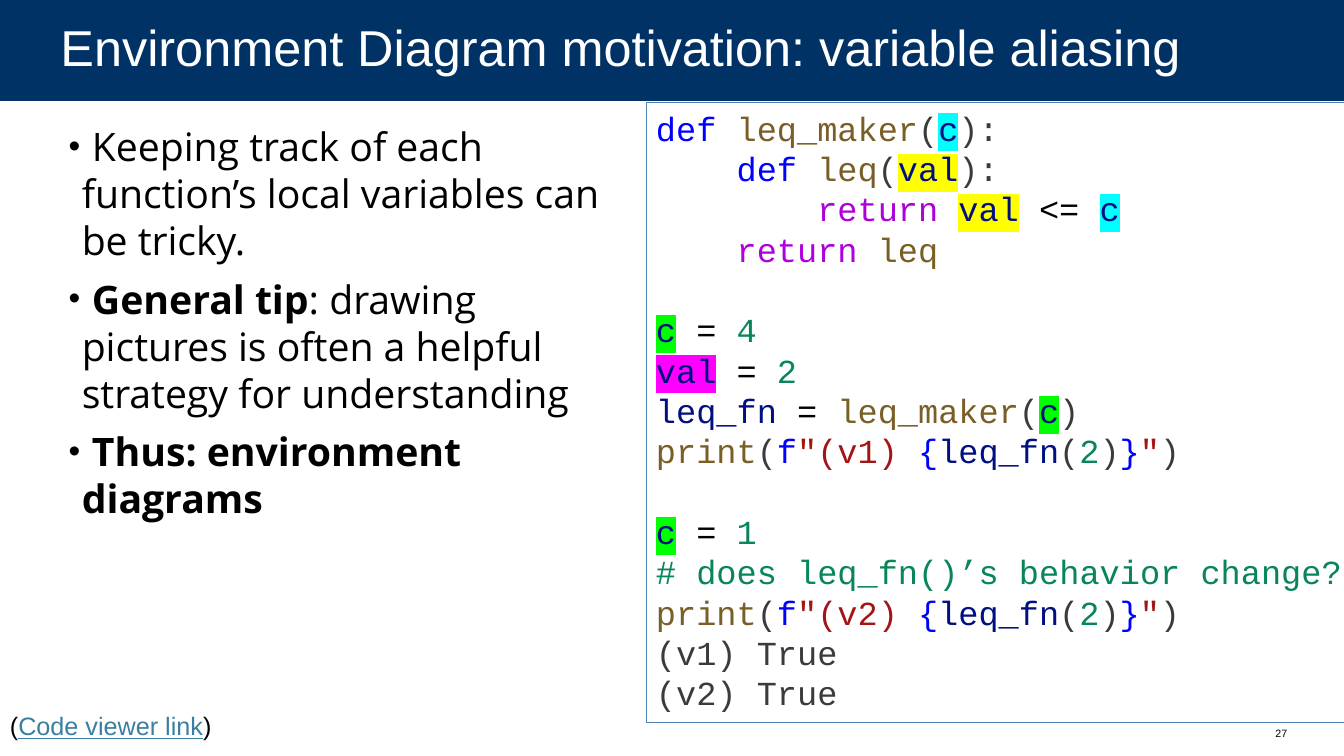
from dataclasses import dataclass
from typing import NamedTuple

from lxml import etree
from pptx import Presentation
from pptx.dml.color import RGBColor
from pptx.enum.shapes import MSO_SHAPE
from pptx.enum.text import MSO_ANCHOR, MSO_AUTO_SIZE, PP_ALIGN
from pptx.oxml.ns import qn
from pptx.util import Pt

RECTANGLE = MSO_SHAPE.RECTANGLE
TOP, MIDDLE = MSO_ANCHOR.TOP, MSO_ANCHOR.MIDDLE
LEFT = PP_ALIGN.LEFT
NO_AUTOFIT = MSO_AUTO_SIZE.NONE

COLORS = {
    "banner": "003265", "white": "FFFFFF", "black": "000000",
    "border": "4F81BD", "link": "3A7EA0",
    # code roles
    "plain": "3B3B3B", "keyword": "0000FF", "control": "AF00DB",
    "function": "795E26", "variable": "001080", "operator": "000000",
    "number": "098658", "comment": "098658", "string": "A31515",
    # highlights
    "cyan": "00FFFF", "yellow": "FFFF00", "green": "00FF00", "magenta": "FF00FF",
}
CODE_SIZE = 24
INDENT = 4 * 0.6 * CODE_SIZE  # four monospaced characters


class Box(NamedTuple):
    left: float
    top: float
    width: float
    height: float


class Token(NamedTuple):
    text: str
    role: str = "plain"
    highlight: str = ""


class Phrase(NamedTuple):
    text: str
    bold: bool = False


@dataclass
class CodeLine:
    tokens: list[Token]
    level: int = 0
    gap_before: bool = False


def variable(name: str, highlight: str = "") -> Token:
    return Token(name, "variable", highlight)


def assignment(target: Token, *value: Token, gap_before: bool = False) -> CodeLine:
    equals = [Token(" "), Token("=", "operator"), Token(" ")]
    return CodeLine([target, *equals, *value], gap_before=gap_before)


def definition(name: str, parameter: Token, level: int = 0) -> CodeLine:
    return CodeLine([Token("def", "keyword"), Token(" "), Token(name, "function"),
                     Token("("), parameter, Token("):")], level)


def print_call(label: str) -> CodeLine:
    return CodeLine([
        Token("print", "function"), Token("("), Token("f", "keyword"),
        Token(f'"({label}) ', "string"), Token("{", "keyword"), variable("leq_fn"),
        Token("("), Token("2", "number"), Token(")"), Token("}", "keyword"),
        Token('"', "string"), Token(")"),
    ])


CODE = [
    definition("leq_maker", variable("c", "cyan")),
    definition("leq", variable("val", "yellow"), 1),
    CodeLine([Token("return", "control"), Token(" "), variable("val", "yellow"),
              Token(" "), Token("<=", "operator"), Token(" "), variable("c", "cyan")], 2),
    CodeLine([Token("return", "control"), Token(" "), Token("leq", "function")], 1),
    assignment(variable("c", "green"), Token("4", "number"), gap_before=True),
    assignment(variable("val", "magenta"), Token("2", "number")),
    assignment(variable("leq_fn"), Token("leq_maker", "function"), Token("("),
               variable("c", "green"), Token(")")),
    print_call("v1"),
    assignment(variable("c", "green"), Token("1", "number"), gap_before=True),
    CodeLine([Token("# does leq_fn()’s behavior change?", "comment")]),
    print_call("v2"),
    CodeLine([Token("(v1) True")]),
    CodeLine([Token("(v2) True")]),
]

BULLETS = [
    [Phrase(" Keeping track of each function’s local variables can be tricky.")],
    [Phrase(" "), Phrase("General tip", True),
     Phrase(": drawing pictures is often a helpful strategy for understanding")],
    [Phrase(" "), Phrase("Thus: environment diagrams", True)],
]


def color(name: str) -> RGBColor:
    return RGBColor.from_string(COLORS[name])


def points(box: Box) -> list[Pt]:
    return [Pt(length) for length in box]


def set_font(font, name: str, size: float, color_name: str = "") -> None:
    font.name, font.size = name, Pt(size)
    if color_name:
        font.color.rgb = color(color_name)


def highlight_run(run, color_name: str) -> None:
    highlight = etree.Element(qn("a:highlight"))
    etree.SubElement(highlight, qn("a:srgbClr"), val=COLORS[color_name])
    run.font.fill._xPr.find(qn("a:solidFill")).addnext(highlight)


def set_bullet(paragraph, indent: float) -> None:
    properties = paragraph._p.get_or_add_pPr()
    properties.set("marL", str(Pt(indent)))
    properties.set("indent", str(-Pt(indent)))
    size = etree.Element(qn("a:buSzPct"), val="85000")
    font = etree.Element(qn("a:buFont"), typeface="Arial")
    mark = etree.Element(qn("a:buChar"), char="•")
    properties.find(qn("a:spcBef")).addnext(size)
    size.addnext(font)
    font.addnext(mark)


def add_title(slide, box: Box, text: str) -> None:
    title = slide.shapes.title
    title.left, title.top, title.width, title.height = points(box)
    title.fill.solid()
    title.fill.fore_color.rgb = color("banner")
    frame = title.text_frame
    frame.auto_size = NO_AUTOFIT
    frame.vertical_anchor = MIDDLE
    frame.margin_left, frame.margin_right = Pt(43.2), Pt(72)
    frame.text = text
    paragraph = frame.paragraphs[0]
    paragraph.alignment, paragraph.line_spacing = LEFT, 0.9
    set_font(paragraph.font, "Arial", 36, "white")


def add_text_frame(slide, box: Box, wrap: bool = True):
    frame = slide.shapes.add_textbox(*points(box)).text_frame
    frame.word_wrap = wrap
    frame.vertical_anchor = TOP
    return frame


def add_bullets(slide, box: Box, bullets: list[list[Phrase]]) -> None:
    frame = add_text_frame(slide, box)
    for index, phrases in enumerate(bullets):
        paragraph = frame.add_paragraph() if index else frame.paragraphs[0]
        paragraph.line_spacing, paragraph.space_before = 1.0, Pt(8)
        set_font(paragraph.font, "Open Sans", 28, "black")
        set_bullet(paragraph, 9.36)
        for phrase in phrases:
            run = paragraph.add_run()
            run.text, run.font.bold = phrase


def add_code(slide, box: Box, lines: list[CodeLine]) -> None:
    panel = slide.shapes.add_shape(RECTANGLE, *points(box))
    panel.shadow.inherit = False
    panel.fill.background()
    panel.line.color.rgb, panel.line.width = color("border"), Pt(0.75)
    frame = panel.text_frame
    frame.word_wrap, frame.vertical_anchor = False, TOP
    for index, line in enumerate(lines):
        paragraph = frame.add_paragraph() if index else frame.paragraphs[0]
        paragraph.alignment, paragraph.line_spacing = LEFT, Pt(28.8)
        set_font(paragraph.font, "Courier New", CODE_SIZE)
        paragraph._p.get_or_add_pPr().set("marL", str(Pt(line.level * INDENT)))
        if line.gap_before:
            paragraph.add_line_break()
        for token in line.tokens:
            run = paragraph.add_run()
            run.text, run.font.color.rgb = token.text, color(token.role)
            if token.highlight:
                highlight_run(run, token.highlight)


def main() -> None:
    presentation = Presentation()
    presentation.slide_width, presentation.slide_height = Pt(960), Pt(540)
    slide = presentation.slides.add_slide(presentation.slide_layouts[5])

    add_title(slide, Box(0, 0, 960, 72), "Environment Diagram motivation: variable aliasing")
    add_bullets(slide, Box(42, 84, 407, 414), BULLETS)

    # Slide number
    number = add_text_frame(slide, Box(904, 516, 56, 24)).paragraphs[0]
    number.text = "27"
    set_font(number.font, "Arial", 7.6, "black")

    add_code(slide, Box(461.5, 73.4, 552.2, 442.8), CODE)

    # Reference to the code viewer
    reference = add_text_frame(slide, Box(0, 504, 158.4, 28.8), False).paragraphs[0]
    set_font(reference.font, "Arial", 18)
    for text, color_name in (("(", "black"), ("Code viewer link", "link"), (")", "black")):
        run = reference.add_run()
        run.text, run.font.color.rgb = text, color(color_name)
        run.font.underline = color_name == "link"

    presentation.save("out.pptx")


if __name__ == "__main__":
    main()
